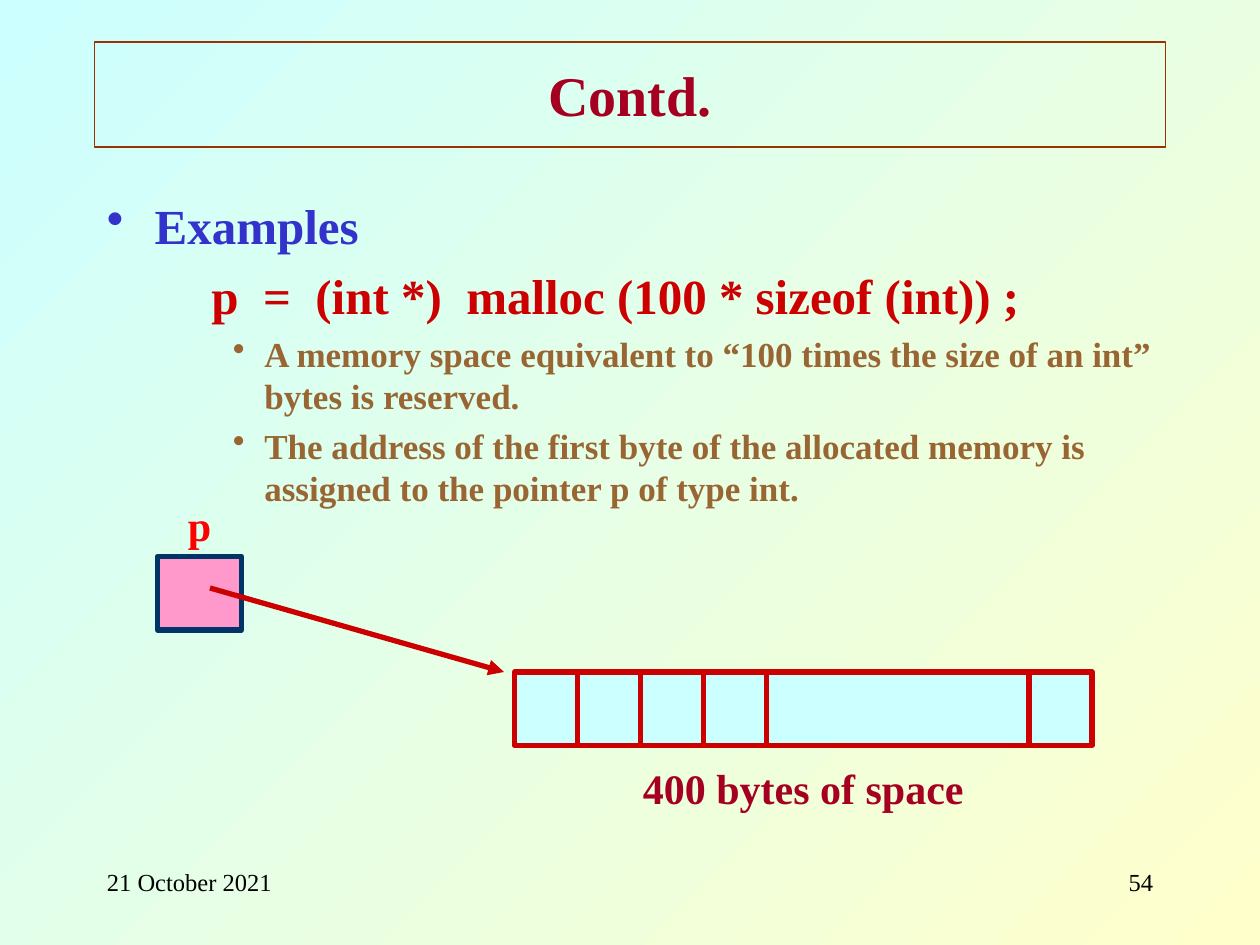
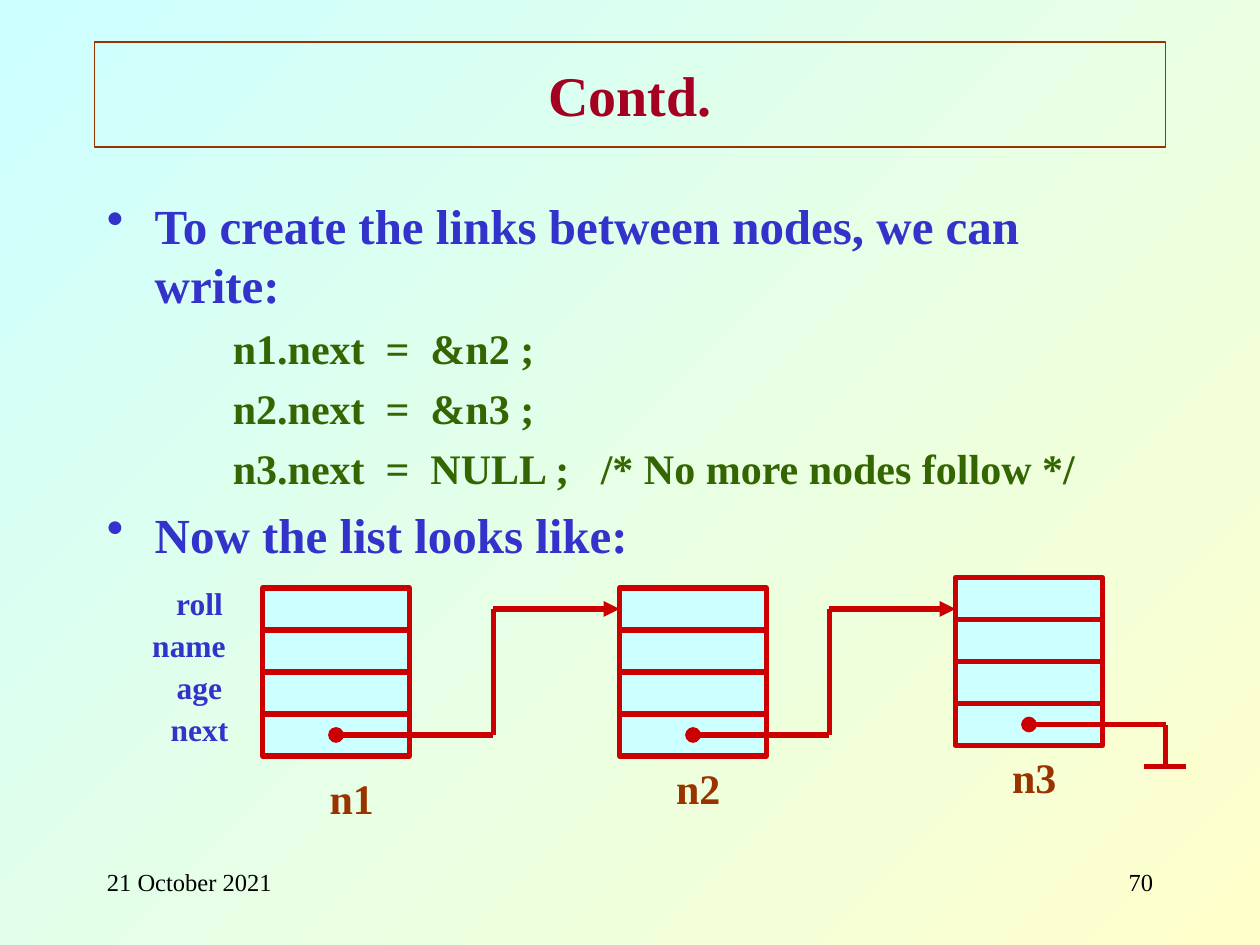
from dataclasses import dataclass

from lxml import etree
from pptx import Presentation
from pptx.dml.color import RGBColor
from pptx.enum.shapes import MSO_CONNECTOR, MSO_SHAPE
from pptx.enum.text import MSO_ANCHOR, PP_ALIGN
from pptx.oxml.ns import qn
from pptx.util import Inches, Pt

RECTANGLE = MSO_SHAPE.RECTANGLE
STRAIGHT = MSO_CONNECTOR.STRAIGHT
LEFT, CENTER, RIGHT = PP_ALIGN.LEFT, PP_ALIGN.CENTER, PP_ALIGN.RIGHT
MIDDLE, TOP = MSO_ANCHOR.MIDDLE, MSO_ANCHOR.TOP

SLIDE_WIDTH, SLIDE_HEIGHT = Inches(10), Inches(7.5)
GRID_COLUMNS = 120
TITLE_ONLY = 5


@dataclass(frozen=True)
class Theme:
    font: str = "Times New Roman"
    background: tuple = ("CCFFFF", "FFFFCC")
    title: str = "A50021"
    border: str = "993300"
    heading: str = "3333CC"
    code: str = "336600"
    call: str = "CC0000"
    detail: str = "996633"
    footer: str = "000000"
    pointer_name: str = "FF0000"
    pointer_fill: str = "FF99CC"
    pointer_line: str = "003366"
    cell_fill: str = "CCFFFF"
    stroke: str = "CC0000"
    stroke_width: float = 3
    title_size: int = 32
    heading_size: int = 28
    code_size: int = 24
    label_size: int = 24
    detail_size: int = 20
    field_size: int = 18
    footer_size: int = 14


THEME = Theme()


@dataclass(frozen=True)
class TextStyle:
    size: int
    color: str
    margin: float = 0
    hanging: float = 0
    bold: bool = True


HEADING = TextStyle(THEME.heading_size, THEME.heading, 0.38, 0.38)
CALL = TextStyle(THEME.heading_size, THEME.call, 0.83)
CODE = TextStyle(THEME.code_size, THEME.code, 1)
DETAIL = TextStyle(THEME.detail_size, THEME.detail, 1.25, 0.25)
TITLE = TextStyle(THEME.title_size, THEME.title)
FOOTER = TextStyle(THEME.footer_size, THEME.footer, bold=False)
CAPTION = TextStyle(THEME.label_size, THEME.title)
POINTER_NAME = TextStyle(THEME.label_size, THEME.pointer_name)
NODE_NAME = TextStyle(THEME.label_size, THEME.border)
FIELD_NAME = TextStyle(THEME.field_size, THEME.heading)


def grid(*units):
    return [round(unit * SLIDE_WIDTH / GRID_COLUMNS) for unit in units]


def color(value):
    return RGBColor.from_string(value)


def set_background(presentation):
    fill = presentation.slide_master.background.fill
    fill.gradient()
    fill.gradient_angle = 315
    for stop, value in zip(fill.gradient_stops, THEME.background):
        stop.color.rgb = color(value)


def format_paragraph(paragraph, style, alignment=LEFT):
    paragraph.alignment = alignment
    paragraph.space_before = Pt(0)
    properties = paragraph._p.get_or_add_pPr()
    properties.set("marL", str(Inches(style.margin)))
    properties.set("indent", str(-Inches(style.hanging)))
    if style.hanging:
        etree.SubElement(properties, qn("a:buChar")).set("char", "•")
    else:
        etree.SubElement(properties, qn("a:buNone"))
    font = paragraph.font
    font.name = THEME.font
    font.size = Pt(style.size)
    font.bold = style.bold
    font.color.rgb = color(style.color)


def add_text(slide, box, paragraphs, alignment=LEFT):
    frame = slide.shapes.add_textbox(*grid(*box)).text_frame
    frame.word_wrap = True
    frame.vertical_anchor = TOP
    for index, (text, style) in enumerate(paragraphs):
        paragraph = frame.add_paragraph() if index else frame.paragraphs[0]
        paragraph.text = text
        format_paragraph(paragraph, style, alignment)
        if index:
            paragraph.space_before = Pt(round(style.size * 0.23, 1))


def add_label(slide, box, text, style):
    add_text(slide, box, [(text, style)], CENTER)


def add_box(slide, box, fill=THEME.cell_fill, line=THEME.stroke):
    shape = slide.shapes.add_shape(RECTANGLE, *grid(*box))
    shape.shadow.inherit = False
    shape.fill.solid()
    shape.fill.fore_color.rgb = color(fill)
    shape.line.color.rgb = color(line)
    shape.line.width = Pt(THEME.stroke_width)


def add_line(slide, start, end, head=None, tail=None):
    connector = slide.shapes.add_connector(STRAIGHT, *grid(*start, *end))
    connector.line.color.rgb = color(THEME.stroke)
    connector.line.width = Pt(THEME.stroke_width)
    line = connector.line._get_or_add_ln()
    for tag, kind in (("a:headEnd", head), ("a:tailEnd", tail)):
        if kind:
            etree.SubElement(line, qn(tag)).set("type", kind)
    etree.SubElement(connector._element.spPr, qn("a:effectLst"))


def add_route(slide, points, head=None, tail=None):
    last = len(points) - 2
    for index, (start, end) in enumerate(zip(points, points[1:])):
        add_line(slide, start, end,
                 head if index == 0 else None,
                 tail if index == last else None)


def add_content_slide(presentation, number, paragraphs):
    slide = presentation.slides.add_slide(presentation.slide_layouts[TITLE_ONLY])
    title = slide.shapes.title
    title.left, title.top, title.width, title.height = grid(9, 4, 102, 10)
    title.line.color.rgb = color(THEME.border)
    title.line.width = Pt(0.75)
    title.text_frame.text = "Contd."
    title.text_frame.vertical_anchor = MIDDLE
    format_paragraph(title.text_frame.paragraphs[0], TITLE, CENTER)
    add_text(slide, (9, 82, 25, 6), [("21 October 2021", FOOTER)])
    add_text(slide, (86, 82, 25, 6), [(str(number), FOOTER)], RIGHT)
    add_text(slide, (9, 18, 102, 62), paragraphs)
    return slide


def add_memory_block(slide, left, top, width, height, dividers):
    add_box(slide, (left, top, width, height))
    for column in dividers:
        add_line(slide, (column, top), (column, top + height))


def add_node(slide, name, left, top, name_left, name_top):
    for row in range(4):
        add_box(slide, (left, top + 4 * row, 14, 4))
    add_label(slide, (name_left, name_top, 15, 6), name, NODE_NAME)


def add_next_link(slide, source, target, bend):
    start_x, start_y = source[0] + 7, source[1] + 14
    entry_y = 58
    add_route(slide, [(start_x, start_y), (bend, start_y),
                      (bend, entry_y), (target[0], entry_y)],
              head="oval", tail="triangle")


def add_null_link(slide, source, bend):
    start_x, start_y = source[0] + 7, source[1] + 14
    ground = start_y + 4
    add_route(slide, [(start_x, start_y), (bend, start_y), (bend, ground)],
              head="oval")
    add_line(slide, (bend - 2, ground), (bend + 2, ground))


def build_malloc_slide(presentation):
    slide = add_content_slide(presentation, 54, [
        ("Examples", HEADING),
        ("p  =  (int *)  malloc (100 * sizeof (int)) ;", CALL),
        ("A memory space equivalent to “100 times the size of an int” "
         "bytes is reserved.", DETAIL),
        ("The address of the first byte of the allocated memory is "
         "assigned to the pointer p of type int.", DETAIL),
    ])
    add_memory_block(slide, 49, 64, 55, 7, [*range(55, 74, 6), 98])
    add_box(slide, (15, 53, 8, 7), THEME.pointer_fill, THEME.pointer_line)
    add_line(slide, (20, 56), (48, 64), tail="triangle")
    add_label(slide, (15, 47, 8, 6), "p", POINTER_NAME)
    add_label(slide, (52, 72, 49, 6), "400 bytes of space", CAPTION)


def build_linked_list_slide(presentation):
    slide = add_content_slide(presentation, 70, [
        ("To create the links between nodes, we can write:", HEADING),
        ("n1.next  =  &n2 ;", CODE),
        ("n2.next  =  &n3 ;", CODE),
        ("n3.next  =  NULL ;   /* No more nodes follow */", CODE),
        ("Now the list looks like:", HEADING),
    ])
    first, second, third = (25, 56), (59, 56), (91, 55)
    add_node(slide, "n1", *first, 26, 73)
    add_node(slide, "n2", *second, 59, 72)
    add_node(slide, "n3", *third, 91, 71)
    add_next_link(slide, first, second, 47)
    add_next_link(slide, second, third, 79)
    add_null_link(slide, third, 111)
    fields = (("roll", 10), ("name", 9), ("age", 10), ("next", 10))
    for row, (field, left) in enumerate(fields):
        add_label(slide, (left, 55 + 4 * row, 18, 4.8), field, FIELD_NAME)


def main():
    presentation = Presentation()
    presentation.slide_width = SLIDE_WIDTH
    presentation.slide_height = SLIDE_HEIGHT
    set_background(presentation)
    build_malloc_slide(presentation)
    build_linked_list_slide(presentation)
    presentation.save("out.pptx")


if __name__ == "__main__":
    main()
